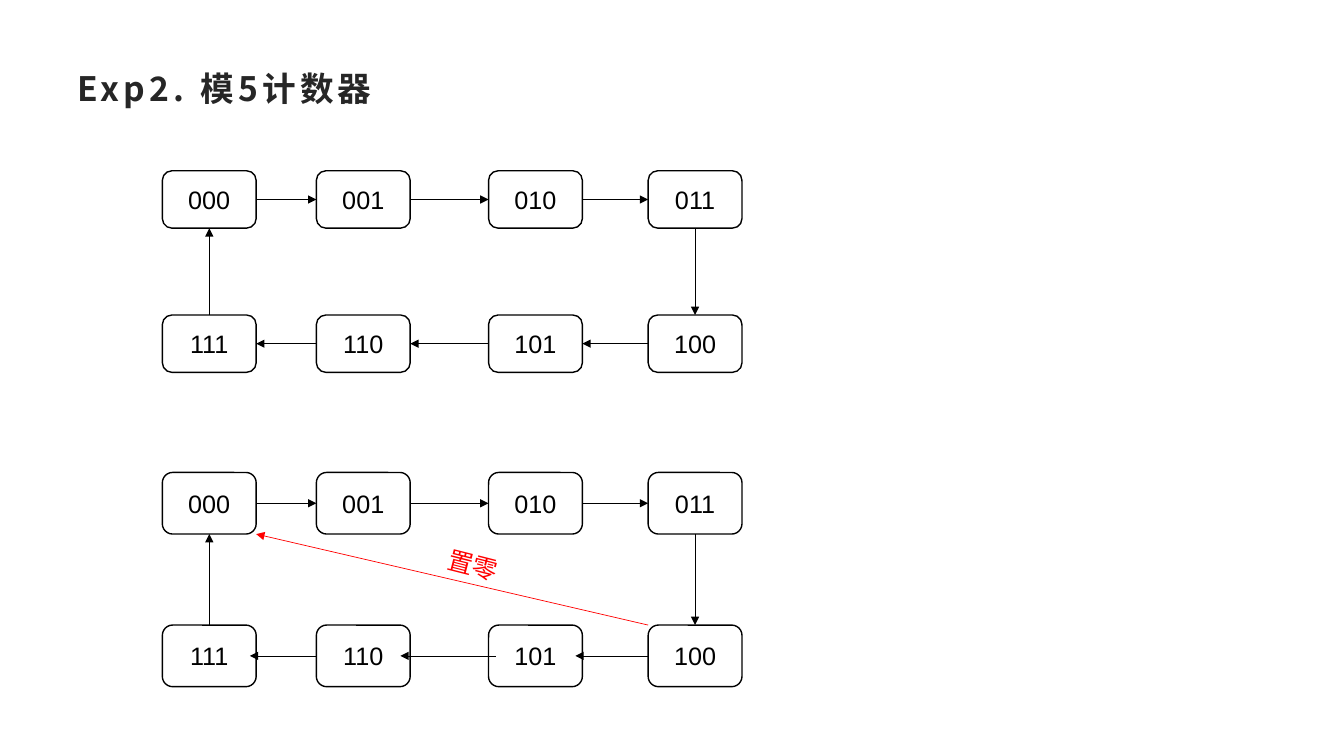
from pptx import Presentation
from pptx import util as u
from pptx.dml.color import RGBColor
from pptx.enum import shapes, text
from pptx.oxml.ns import qn
from lxml import etree

Pt = u.Pt
INK = RGBColor(0x26, 0x26, 0x26)
BLACK = RGBColor(0, 0, 0)
RED = RGBColor(0xFF, 0, 0)
SANS = "Arial"
HAN = "Noto Sans CJK SC"
COLS = (0, 110, 233, 347)
TOP, LEFT, BOTTOM, RIGHT = range(4)


def write(para, words, size, color, face):
    run = para.add_run()
    run.text = words
    run.font.size = Pt(size)
    run.font.name = face
    run.font.color.rgb = color
    props = run.font._element
    etree.SubElement(props, qn("a:ea")).set("typeface", HAN)
    return run


def head(slide, x, y, w, h):
    title = slide.shapes.title
    title.left, title.top, title.width, title.height = Pt(x), Pt(y), Pt(w), Pt(h)
    frame = title.text_frame
    frame.auto_size = text.MSO_AUTO_SIZE.NONE
    frame.vertical_anchor = text.MSO_ANCHOR.MIDDLE
    para = frame.paragraphs[0]
    para.alignment = text.PP_ALIGN.LEFT
    run = write(para, "Exp2. 模5计数器", 24, INK, HAN)
    run.font.bold = True
    run.font._element.set("spc", "300")


def state(slide, code, x, y, w, h):
    node = slide.shapes.add_shape(
        shapes.MSO_SHAPE.ROUNDED_RECTANGLE, Pt(x), Pt(y), Pt(w), Pt(h))
    node.shadow.inherit = False
    node.fill.background()
    node.line.color.rgb = BLACK
    node.line.width = Pt(1)
    frame = node.text_frame
    frame.vertical_anchor = text.MSO_ANCHOR.MIDDLE
    para = frame.paragraphs[0]
    para.alignment = text.PP_ALIGN.CENTER
    write(para, code, 18, BLACK, SANS)
    return node


def arrow(slide, x1, y1, x2, y2, color):
    line = slide.shapes.add_connector(
        shapes.MSO_CONNECTOR.STRAIGHT, x1, y1, x2, y2)
    line.line.color.rgb = color
    line.line.width = Pt(0.5)
    etree.SubElement(line.line._get_or_add_ln(), qn("a:tailEnd")).set("type", "triangle")
    etree.SubElement(line._element.spPr, qn("a:effectLst"))
    return line


def side(node, site):
    dx, dy = ((0.5, 0), (0, 0.5), (0.5, 1), (1, 0.5))[site]
    return node.left + int(node.width * dx), node.top + int(node.height * dy)


def link(slide, start, out, end, into, back=0, over=0):
    x1, y1 = side(start, out)
    x2, y2 = side(end, into)
    line = arrow(slide, x1 + Pt(back), y1, x2 - Pt(over), y2, BLACK)
    if not back:
        line.begin_connect(start, out)
    if not over:
        line.end_connect(end, into)


def ring(slide, x, y, w, h, tall, shifts):
    wide = w - COLS[-1]
    nodes = []
    for num in range(8):
        row, col = divmod(num, 4)
        left = COLS[3 - col if row else col]
        nodes.append(state(slide, f"{num:03b}", x + left,
                           y + row * (h - tall), wide, tall))
    sites = [(RIGHT, LEFT)] * 3 + [(BOTTOM, TOP)] + [(LEFT, RIGHT)] * 3 + [(TOP, BOTTOM)]
    for num, (out, into) in enumerate(sites):
        back, over = shifts.get(num, (0, 0))
        link(slide, nodes[num], out, nodes[(num + 1) % 8], into, back, over)
    return nodes


def reset(slide, nodes, x, y, w, h):
    zero, four = nodes[0], nodes[4]
    arrow(slide, four.left, four.top,
          zero.left + zero.width, zero.top + zero.height, RED)
    label = slide.shapes.add_textbox(Pt(x), Pt(y), Pt(w), Pt(h))
    label.rotation = 14.3
    frame = label.text_frame
    frame.word_wrap = False
    write(frame.paragraphs[0], "置零", 18, RED, SANS)


def main():
    deck = Presentation()
    deck.slide_width, deck.slide_height = Pt(960), Pt(540)
    slide = deck.slides.add_slide(deck.slide_layouts[5])
    head(slide, 48, 35.5, 864, 55)
    ring(slide, 116, 122, 414, 144, 41, {})
    shifts = {4: (0, 5), 5: (5, 7), 6: (0, 4.5)}
    nodes = ring(slide, 116, 337.5, 414, 153, 44, shifts)
    reset(slide, nodes, 313, 389.5, 51, 29)
    deck.save("out.pptx")


if __name__ == "__main__":
    main()
